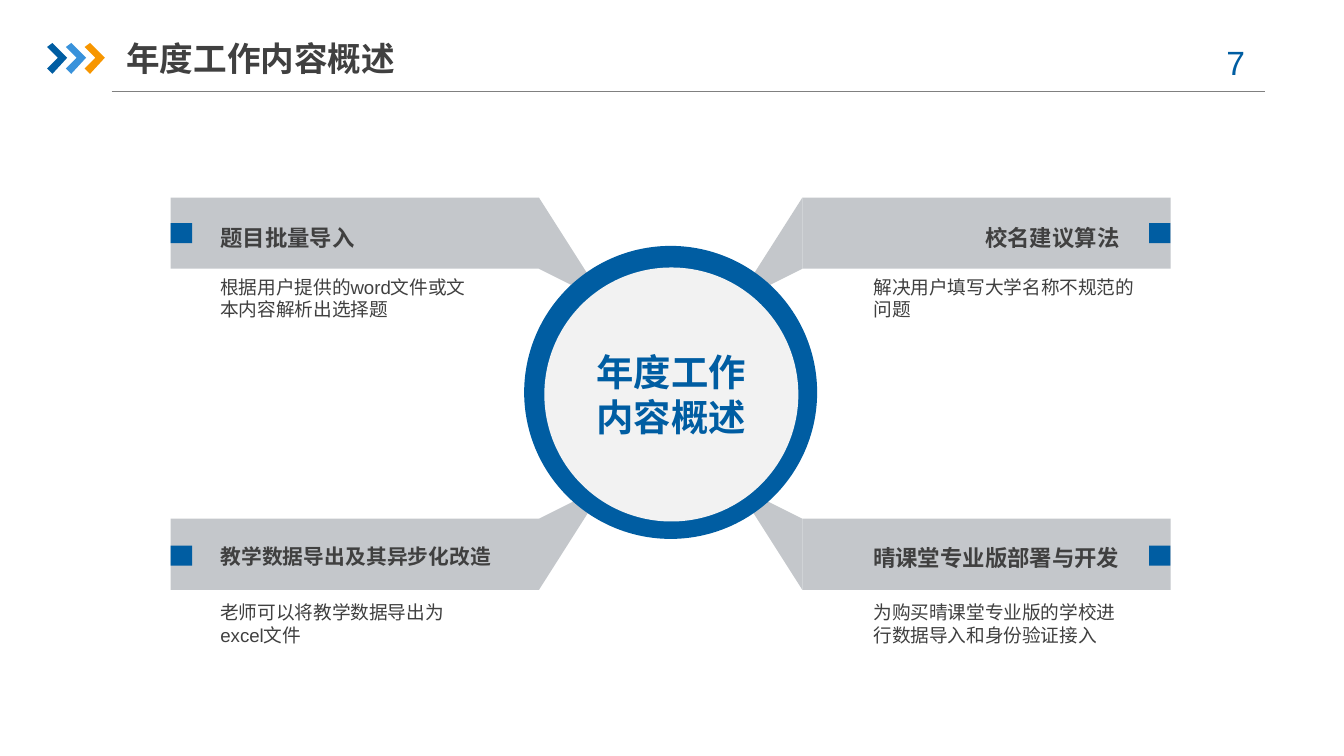
from lxml import etree
from pptx import Presentation
from pptx.dml.color import RGBColor
from pptx.enum import shapes, text
from pptx.oxml import ns
from pptx.util import Inches, Pt

C = {"blue": "005DA2", "sky": "3992DB", "orange": "F79600", "band": "C4C7CB",
     "disc": "F2F2F2", "ink": "404040", "rule": "808080"}
MSO, AL, ANC = shapes.MSO_SHAPE, text.PP_ALIGN, text.MSO_ANCHOR

prs = Presentation()
prs.slide_width = Inches(10)
prs.slide_height = Inches(10 * 9 / 16)
s = prs.slides.add_slide(prs.slide_layouts[6])


def add_filled(outline, color):
    if isinstance(outline, list):
        points = [(Inches(x), Inches(y)) for x, y in outline]
        fb = s.shapes.build_freeform(*points[0])
        fb.add_line_segments(points[1:], close=True)
        sp = fb.convert_to_shape()
    else:
        kind, *box = outline
        sp = s.shapes.add_shape(kind, *map(Inches, box))
    sp.shadow.inherit = False
    sp.fill.solid()
    sp.fill.fore_color.rgb = RGBColor.from_string(C[color])
    sp.line.fill.background()
    return sp


def write(sp, lines, size, color="ink", bold=False, align=AL.LEFT, anchor=ANC.TOP, inset=0):
    tf = sp.text_frame
    tf.word_wrap = True
    tf.vertical_anchor = anchor
    tf.margin_left = tf.margin_right = Inches(inset)
    tf.text = lines
    for p in tf.paragraphs:
        p.alignment = align
        p.font.name, p.font.size, p.font.bold = "Arial", Pt(size), bold
        p.font.color.rgb = RGBColor.from_string(C[color])


rule = s.shapes.add_connector(shapes.MSO_CONNECTOR.STRAIGHT, Inches(0.83), Inches(0.68),
                              Inches(9.41), Inches(0.68))
rule.line.color.rgb = RGBColor.from_string(C["rule"])
rule.line.width = Pt(0.75)
etree.SubElement(rule._element.spPr, ns.qn("a:effectLst"))

for i, color in enumerate(["blue", "sky", "orange"]):
    x = 0.35 + 0.14 * i
    add_filled([(x, 0.35), (x + 0.04, 0.32), (x + 0.15, 0.43), (x + 0.04, 0.55),
                (x, 0.51), (x + 0.08, 0.43)], color)

page = s.shapes.add_textbox(Inches(8.83), Inches(0.26), Inches(0.73), Inches(0.4))
write(page, "7", 18, "blue", align=AL.CENTER, inset=0.1)
title = s.shapes.add_textbox(Inches(0.94), Inches(0.22), Inches(2.33), Inches(0.42))
write(title, "年度工作内容概述", 18, bold=True, anchor=ANC.MIDDLE)

topics = [
    ("left", "top", "题目批量导入", 12, "根据用户提供的word文件或文本内容解析出选择题", 1.94),
    ("right", "top", "校名建议算法", 12, "解决用户填写大学名称不规范的问题", 2.05),
    ("left", "bottom", "教学数据导出及其异步化改造", 11.1, "老师可以将教学数据导出为excel文件", 1.94),
    ("right", "bottom", "晴课堂专业版部署与开发", 12, "为购买晴课堂专业版的学校进行数据导入和身份验证接入", 1.84),
]
columns = {"left": (1.27, 4.01, 1, 1.27, 1.64, 1.64, AL.LEFT),
           "right": (5.97, 5.97, -1, 8.55, 6.19, 6.5, AL.RIGHT)}
rows = {"top": (1.47, 1.47, 1, 1.66, 1.62, 2.15),
        "bottom": (3.86, 4.39, -1, 4.06, 4, 4.57)}
fold = [(0, 0), (0.42, 0.66), (0.36, 0.71), (0, 0.53)]

for side, row, heading, size, detail, width in topics:
    bar_x, fold_x, dx, marker_x, head_x, detail_x, align = columns[side]
    bar_y, fold_y, dy, marker_y, head_y, detail_y = rows[row]
    add_filled((MSO.RECTANGLE, bar_x, bar_y, 2.74, 0.53), "band")
    add_filled([(fold_x + dx * x, fold_y + dy * y) for x, y in fold], "band")
    add_filled((MSO.RECTANGLE, marker_x, marker_y, 0.16, 0.15), "blue")
    box = s.shapes.add_textbox(Inches(head_x), Inches(head_y), Inches(2.14), Inches(0.31))
    write(box, heading, size, bold=True, align=align)
    box = s.shapes.add_textbox(Inches(detail_x), Inches(detail_y), Inches(width), Inches(0.14))
    write(box, detail, 10, anchor=ANC.MIDDLE)

add_filled((MSO.OVAL, 3.9, 1.83, 2.18, 2.18), "blue")
disc = add_filled((MSO.OVAL, 4.05, 1.99, 1.89, 1.89), "disc")
write(disc, "年度工作\n内容概述", 20, "blue", True, AL.CENTER, ANC.MIDDLE, 0.1)

prs.save("out.pptx")
